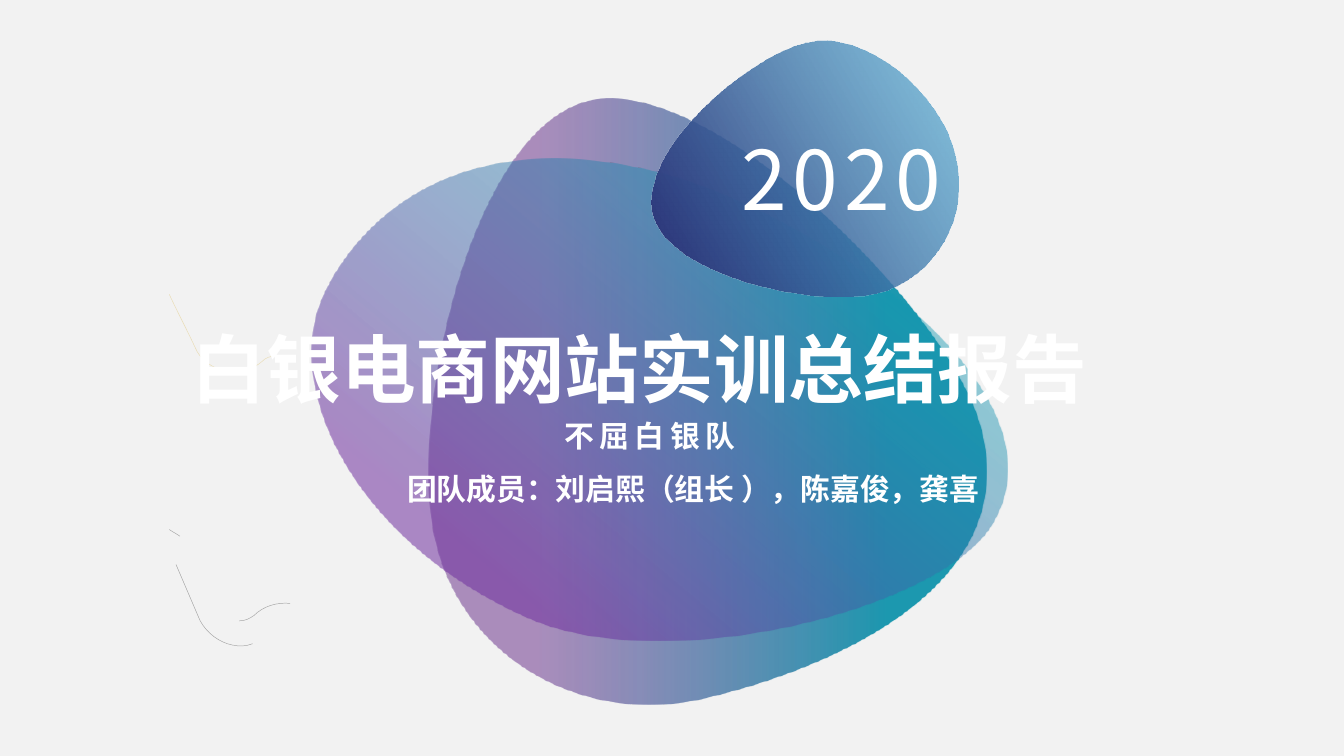
from lxml.etree import SubElement
from pptx import Presentation
from pptx.dml.color import RGBColor
from pptx.enum.shapes import MSO_SHAPE as SHAPE
from pptx.enum.text import MSO_AUTO_SIZE as AUTO_SIZE, PP_ALIGN as ALIGN
from pptx.oxml.ns import qn
from pptx.util import Inches, Pt

SANS = "Noto Sans CJK SC"
WHITE = "FFFFFF"
WIDTH = Inches(10)
HEIGHT = WIDTH * 9 // 16

# Colour, opacity %, paths; a path is a start point followed by
# Bezier points, three to a curve.
STROKES = [
    ("1A1A1A", 35, [
        [(1.26, 3.94), (1.29, 3.96), (1.31, 3.97), (1.34, 3.99)],
        [(2.16, 4.49), (2.06, 4.48), (1.96, 4.51), (1.89, 4.58),
         (1.86, 4.6), (1.83, 4.62), (1.78, 4.62)],
    ]),
    ("D09F07", 25, [
        [(1.26, 2.19), (1.32, 2.32), (1.39, 2.45), (1.45, 2.58),
         (1.49, 2.68), (1.58, 2.74), (1.68, 2.76)],
        [(1.74, 2.77), (1.82, 2.77), (1.89, 2.74), (1.95, 2.69),
         (1.98, 2.66), (2.01, 2.65), (2.05, 2.65)],
        [(2.12, 2.67), (2.13, 2.68), (2.15, 2.68), (2.16, 2.69)],
    ]),
    ("1A1A1A", 35, [
        [(1.31, 4.2), (1.37, 4.34), (1.43, 4.48), (1.49, 4.62),
         (1.54, 4.71), (1.63, 4.78), (1.73, 4.8),
         (1.78, 4.81), (1.83, 4.81), (1.88, 4.79)],
    ]),
]

# Path, clockwise gradient angle, stops of (position %, colour, opacity %).
BLOBS = [
    ([(3.24, 4.02), (3.44, 4.89), (4.34, 5.41), (5.25, 5.19),
      (6.15, 4.98), (7.67, 4.36), (7.28, 3.12),
      (7.01, 2.27), (5.28, 0.54), (4.38, 0.75),
      (3.48, 0.97), (3.03, 3.16), (3.24, 4.02)],
     180, [(23, "1C98AF", 100), (79, "875DA2", 67)]),
    ([(2.4, 2.22), (2.1, 2.93), (2.68, 4.05), (3.94, 4.6),
      (4.95, 5.04), (6.97, 4.54), (7.37, 3.91),
      (8.03, 2.85), (5.89, 1.49), (4.81, 1.26),
      (3.25, 0.91), (2.59, 1.78), (2.4, 2.22)],
     130, [(23, "0BA1B2", 43), (77, "7030A0", 55)]),
    ([(6.52, 2.18), (6.95, 2.07), (7.22, 1.61), (7.1, 1.15),
      (6.99, 0.68), (6.42, 0.21), (5.99, 0.32),
      (5.55, 0.43), (4.75, 1.12), (4.86, 1.59),
      (4.97, 2.05), (6.08, 2.29), (6.52, 2.18)],
     150, [(0, "54B4D9", 67), (100, "28256D", 100)]),
]

# Text, box, size, Latin font, bold, letter spacing, alignment, inset scale.
TEXTS = [
    ("白银电商网站实训总结报告", (1.33, 2.35, 7.03, 0.77), 40, SANS, True, 0, ALIGN.JUSTIFY, 1),
    ("不屈白银队", (2.81, 3.06, 4.05, 0.37), 16, "Arial", True, 3, ALIGN.CENTER, 1),
    ("2020", (5.24, 0.91, 2.04, 0.84), 44, SANS, False, 3, ALIGN.CENTER, 1),
    ("团队成员：刘启熙（组长 ），陈嘉俊，龚喜", (3.03, 3.5, 4.46, 0.27), 16, SANS, True, 0, ALIGN.LEFT, 0),
]


def rgb(color):
    return RGBColor.from_string(color)


def set_opacity(shape, percents):
    """Give the shape's fill and line colours, in order, their opacity."""
    colors = list(shape._element.spPr.iter(qn("a:srgbClr")))
    for color, percent in zip(colors, percents):
        if percent < 100:
            SubElement(color, qn("a:alpha"), val=str(percent * 1000))


def add_curves(slide, paths, close):
    """Build a freeform whose segments are cubic Bezier curves."""
    paths = [[(Inches(x), Inches(y)) for x, y in path] for path in paths]
    builder = slide.shapes.build_freeform(*paths[0][0])
    for index, path in enumerate(paths):
        if index:
            builder.move_to(*path[0])
        builder.add_line_segments(path[1:], close=close)
    shape = builder.convert_to_shape()
    shape.shadow.inherit = False
    lines = list(shape._element.spPr.iter(qn("a:lnTo")))
    for start in range(0, len(lines) - 2, 3):
        group = lines[start:start + 3]
        curve = group[0].makeelement(qn("a:cubicBezTo"))
        group[0].addprevious(curve)
        for line in group:
            curve.append(line[0])
            line.getparent().remove(line)
    return shape


def add_stroke(slide, color, opacity, paths):
    shape = add_curves(slide, paths, close=False)
    shape.fill.background()
    shape.line.color.rgb = rgb(color)
    shape.line.width = Pt(0.25)
    set_opacity(shape, [opacity])


def add_blob(slide, path, angle, stops):
    shape = add_curves(slide, [path], close=True)
    shape.line.fill.background()
    shape.fill.gradient()
    shape.fill.gradient_angle = 360 - angle
    for stop, (position, color, _) in zip(shape.fill.gradient_stops, stops):
        stop.position = position / 100
        stop.color.rgb = rgb(color)
    set_opacity(shape, [opacity for _, _, opacity in stops])


def add_text(slide, text, box, size, font, bold, spacing, align, inset):
    frame = slide.shapes.add_textbox(*map(Inches, box)).text_frame
    frame.word_wrap = True
    frame.auto_size = AUTO_SIZE.SHAPE_TO_FIT_TEXT
    frame.margin_left = frame.margin_right = Inches(0.1 * inset)
    frame.margin_top = frame.margin_bottom = Inches(0.05 * inset)
    frame.text = text
    paragraph = frame.paragraphs[0]
    paragraph.alignment = align
    run = paragraph.runs[0]
    run.font.size = Pt(size)
    run.font.bold = bold
    run.font.name = font
    run.font.color.rgb = rgb(WHITE)
    properties = run.font._element
    properties.find(qn("a:latin")).addnext(
        properties.makeelement(qn("a:ea"), typeface=SANS))
    if spacing:
        properties.set("spc", str(spacing * 100))


def main():
    presentation = Presentation()
    presentation.slide_width = WIDTH
    presentation.slide_height = HEIGHT
    slide = presentation.slides.add_slide(presentation.slide_layouts[6])

    backdrop = slide.shapes.add_shape(
        SHAPE.RECTANGLE, 0, Inches(-0.01), WIDTH, HEIGHT + Inches(0.01))
    backdrop.shadow.inherit = False
    backdrop.line.fill.background()
    backdrop.fill.solid()
    backdrop.fill.fore_color.rgb = rgb("000000")
    set_opacity(backdrop, [5])

    for stroke in STROKES:
        add_stroke(slide, *stroke)
    for blob in BLOBS:
        add_blob(slide, *blob)
    for text in TEXTS:
        add_text(slide, *text)
    presentation.save("out.pptx")


if __name__ == "__main__":
    main()
